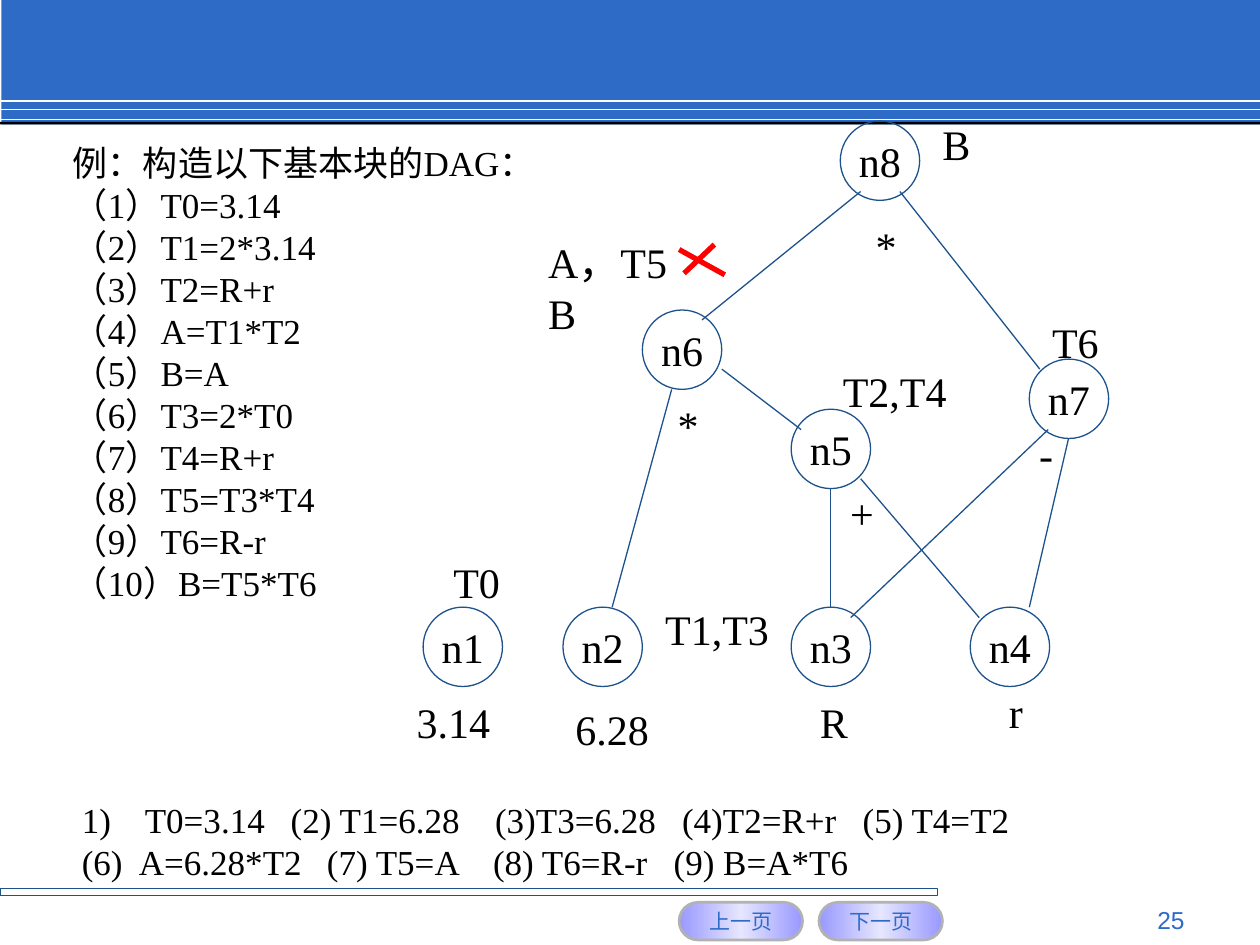
from copy import deepcopy
from dataclasses import dataclass

from lxml import etree
from pptx import Presentation, util as u
from pptx.dml.color import RGBColor
from pptx.enum import shapes, text
from pptx.oxml import ns


@dataclass(frozen=True)
class Theme:
    blue: RGBColor = RGBColor(0x2D, 0x6B, 0xC7)
    outline: RGBColor = RGBColor(0x1D, 0x52, 0x8D)
    black: RGBColor = RGBColor(0, 0, 0)
    white: RGBColor = RGBColor(255, 255, 255)
    red: RGBColor = RGBColor(255, 0, 0)
    lilac: RGBColor = RGBColor(0x99, 0x99, 0xFF)
    pale: RGBColor = RGBColor(0xE6, 0xE6, 0xFF)
    grey: RGBColor = RGBColor(0xB2, 0xB2, 0xB2)
    serif: str = "Times New Roman"
    sans: str = "Arial"
    label: int = 24
    body: int = 20
    number: int = 14
    button: int = 12


theme = Theme()
LEFT, CENTER, RIGHT = text.PP_ALIGN.LEFT, text.PP_ALIGN.CENTER, text.PP_ALIGN.RIGHT


def write(shape, lines, size, align=LEFT, font=theme.serif, color=theme.black, wrap=False):
    frame = shape.text_frame
    frame.word_wrap = wrap
    for index, line in enumerate(lines):
        paragraph = frame.paragraphs[0] if index == 0 else frame.add_paragraph()
        paragraph.alignment = align
        run = paragraph.add_run()
        run.text = line
        run.font.size, run.font.name = u.Pt(size), font
        run.font.color.rgb = color
    return frame


def add_line(x1, y1, x2, y2, color=theme.outline, width=0.75):
    line = slide.shapes.add_connector(
        shapes.MSO_CONNECTOR.STRAIGHT, u.Cm(x1), u.Cm(y1), u.Cm(x2), u.Cm(y2))
    line.line.color.rgb, line.line.width = color, u.Pt(width)
    etree.SubElement(line._element.spPr, ns.qn("a:effectLst"))


presentation = Presentation()
presentation.slide_width, presentation.slide_height = u.Cm(25.4), u.Cm(19.05)
slide = presentation.slides.add_slide(presentation.slide_layouts[6])

# Header band, its rules and the footer bar
bars = [
    (0.03, 0, 25.37, 2.51, theme.blue),
    (0, 2.46, 25.4, 0.05, theme.black),
    (0, 17.91, 18.9, 0.15, None),
]
for left, top, width, height, fill in bars:
    bar = slide.shapes.add_shape(
        shapes.MSO_SHAPE.RECTANGLE, u.Cm(left), u.Cm(top), u.Cm(width), u.Cm(height))
    bar.shadow.inherit = False
    if fill is None:
        bar.fill.background()
        bar.line.color.rgb, bar.line.width = theme.outline, u.Pt(0.75)
    else:
        bar.fill.solid()
        bar.fill.fore_color.rgb = fill
        bar.line.fill.background()
for y in (2.03, 2.21, 2.41):
    add_line(0, y, 25.4, y, theme.white, 1)

# Navigation buttons
for left, caption in ((13.69, "上一页"), (16.51, "下一页")):
    button = slide.shapes.add_shape(
        shapes.MSO_SHAPE.ROUNDED_RECTANGLE, u.Cm(left), u.Cm(18.19), u.Cm(2.49), u.Cm(0.76))
    button.adjustments[0] = 0.5
    button.shadow.inherit = False
    button.fill.gradient()
    button.fill.gradient_angle = 0
    stop_list = button._element.spPr.find(".//" + ns.qn("a:gsLst"))
    stop_list.append(deepcopy(stop_list[0]))
    stops = zip(button.fill.gradient_stops, (0, 0.5, 1), (theme.lilac, theme.pale, theme.lilac))
    for stop, position, color in stops:
        stop.position, stop.color.rgb = position, color
    button.line.color.rgb, button.line.width = theme.grey, u.Pt(1.5)
    write(button, [caption], theme.button, CENTER, theme.sans, theme.blue)

# Basic block to convert
statements = ["T0=3.14", "T1=2*3.14", "T2=R+r", "A=T1*T2", "B=A",
              "T3=2*T0", "T4=R+r", "T5=T3*T4", "T6=R-r", "B=T5*T6"]
block = slide.shapes.add_textbox(u.Cm(1.22), u.Cm(2.72), u.Cm(10.16), u.Cm(9.58))
numbered = [f"（{number}）{statement}" for number, statement in enumerate(statements, 1)]
write(block, ["例：构造以下基本块的DAG："] + numbered, theme.body)

# DAG nodes
nodes = {"n1": (8.53, 12.24), "n2": (11.35, 12.24), "n3": (15.95, 12.24), "n4": (19.56, 12.24),
         "n5": (15.95, 8.25), "n6": (12.95, 6.25), "n7": (20.75, 7.24), "n8": (16.94, 2.44)}
for name, (left, top) in nodes.items():
    node = slide.shapes.add_shape(
        shapes.MSO_SHAPE.OVAL, u.Cm(left), u.Cm(top), u.Cm(1.6), u.Cm(1.6))
    node.shadow.inherit = False
    node.fill.background()
    node.line.color.rgb, node.line.width = theme.outline, u.Pt(0.75)
    write(node, [name], theme.label, CENTER)

# DAG edges
edges = [
    (16.74, 9.86, 16.74, 12.24),  # n5 to n3
    (17.35, 9.65, 19.74, 12.45),  # n5 to n4
    (21.13, 8.66, 17.15, 12.45),  # n7 to n3
    (21.54, 8.84, 20.75, 12.24),  # n7 to n4
    (14.15, 6.45, 17.35, 3.86),   # n6 to n8
    (18.14, 3.86, 20.96, 7.44),   # n8 to n7
    (14.55, 7.44, 16.15, 8.66),   # n6 to n5
    (13.54, 7.85, 12.34, 12.24),  # n6 to n2
]
for edge in edges:
    add_line(*edge)

# Values, identifiers and operators beside the nodes
labels = [
    ("3.14", 8.15, 13.92, 2.1), ("6.28", 11.35, 14.05, 2.1),
    ("T0", 8.89, 11.1, 1.5), ("T1,T3", 13.16, 12.04, 2.7),
    ("+", 16.89, 9.7, 1), ("-", 20.7, 8.51, 0.8),
    ("T2,T4", 16.74, 7.24, 2.7), ("B", 18.75, 2.26, 1.1),
    ("T6", 20.96, 6.25, 1.5), ("R", 16.28, 13.92, 1.1),
    ("r", 20.09, 13.72, 0.8), ("*", 13.41, 7.92, 0.95), ("*", 17.4, 4.32, 0.95),
]
for label, left, top, width in labels:
    box = slide.shapes.add_textbox(u.Cm(left), u.Cm(top), u.Cm(width), u.Cm(1.27))
    frame = write(box, [label], theme.label)
    frame.auto_size = text.MSO_AUTO_SIZE.SHAPE_TO_FIT_TEXT

# Identifiers of n6, with T5 crossed out
box = slide.shapes.add_textbox(u.Cm(10.8), u.Cm(4.65), u.Cm(4.19), u.Cm(2.29))
paragraph = write(box, ["A，T5"], theme.label, wrap=True).paragraphs[0]
paragraph.add_line_break()
run = paragraph.add_run()
run.text = "B"
run.font.size, run.font.name = u.Pt(theme.label), theme.serif
run.font.color.rgb = theme.black
add_line(13.69, 5.03, 14.61, 5.54, theme.red, 3)
add_line(13.79, 5.51, 14.4, 4.93, theme.red, 3)

# Optimised code, aligned with tab stops
result = slide.shapes.add_textbox(u.Cm(1.4), u.Cm(15.98), u.Cm(21.21), u.Cm(1.96))
frame = write(result, [
    "1)\tT0=3.14\t(2) T1=6.28\t(3)T3=6.28\t(4)T2=R+r\t(5) T4=T2",
    "(6)\tA=6.28*T2\t(7) T5=A\t(8) T6=R-r\t(9) B=A*T6",
], theme.body, wrap=True)
tab_stops = [(1.27, 4.21, 8.33, 12.1, 15.74), (1.15, 4.94, 8.29, 11.93)]
for paragraph, positions in zip(frame.paragraphs, tab_stops):
    tab_list = etree.SubElement(paragraph._p.get_or_add_pPr(), ns.qn("a:tabLst"))
    for position in positions:
        etree.SubElement(tab_list, ns.qn("a:tab"), pos=str(u.Cm(position)), algn="l")

# Page number
page = slide.shapes.add_textbox(u.Cm(18.21), u.Cm(18.11), u.Cm(5.92), u.Cm(0.69))
write(page, ["25"], theme.number, RIGHT, theme.sans, theme.blue, wrap=True)

presentation.save("out.pptx")
